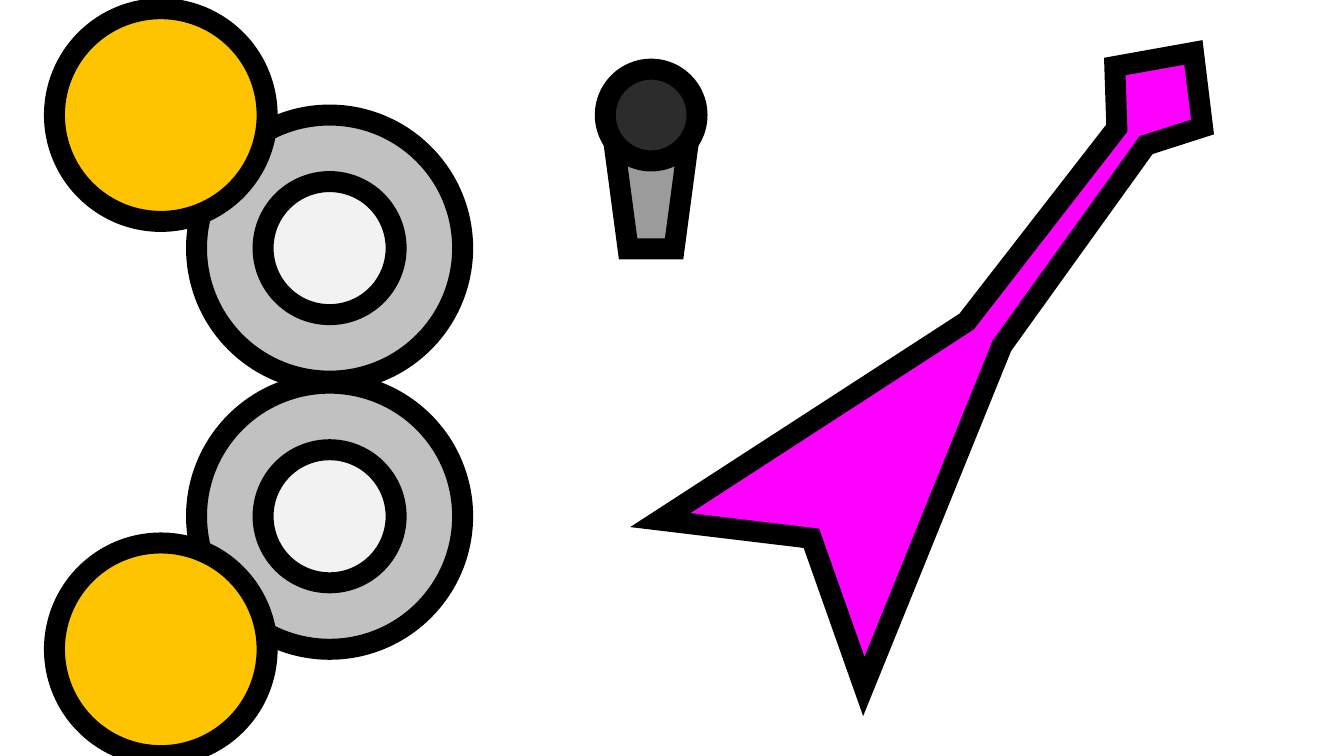
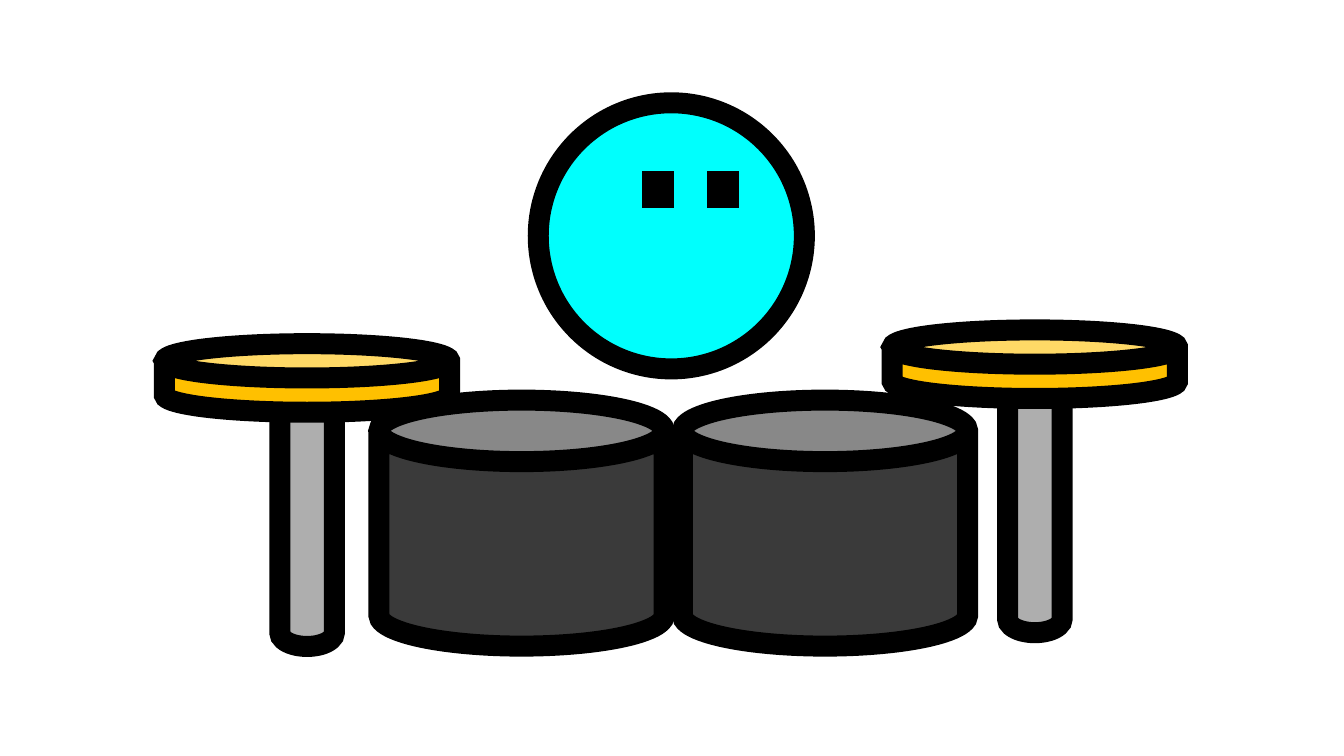
from lxml.etree import SubElement
from pptx import Presentation
from pptx.dml.color import RGBColor as RGB
from pptx.enum.shapes import MSO_SHAPE as Kind
from pptx.oxml.ns import qn
from pptx.util import Emu, Pt

HUE = {
    "ink": "000000", "drum": "C1C1C1", "hub": "F2F2F2", "brass": "FFC400",
    "grip": "9B9B9B", "mesh": "2C2C2C", "axe": "FE00FF",
    "pole": "AEAEAE", "face": "00FFFD", "shell": "3A3A3A", "gold": "FFC000",
}

# The slide is a grid of 80 columns by 45 rows of square cells.
CELL = 152400

deck = Presentation()
deck.slide_width, deck.slide_height = Emu(80 * CELL), Emu(45 * CELL)
blank = deck.slide_layouts[6]


def paint(shape, hue):
    """Fill the shape and give it the thick black outline with sharp corners."""
    shape.shadow.inherit = False
    shape.fill.solid()
    shape.fill.fore_color.rgb = RGB.from_string(HUE[hue])
    shape.line.color.rgb = RGB.from_string(HUE["ink"])
    shape.line.width = Pt(15)
    edge = shape.line._get_or_add_ln()
    SubElement(edge, qn("a:miter")).set("lim", "800000")


def put(home, kind, x, y, wide, high, hue):
    """Add a preset shape centred on column x and row y."""
    box = (x - wide / 2, y - high / 2, wide, high)
    shape = home.shapes.add_shape(kind, *(Emu(round(n * CELL)) for n in box))
    paint(shape, hue)
    return shape


# Slide 1: the band seen from above
top = deck.slides.add_slide(blank)

# Drums, cymbals and hubs mirror each other about one row
axis = 22.75
for x, gap, size, hue in (
    (19.62, 7.98, 15.84, "drum"),
    (9.57, 15.9, 12.66, "brass"),
    (19.62, 7.98, 7.92, "hub"),
):
    for y in (axis - gap, axis + gap):
        put(top, Kind.OVAL, x, y, size, size, hue)

mic = top.shapes.add_group_shape()
put(mic, Kind.FLOWCHART_MANUAL_OPERATION, 38.76, 11.4, 4.56, 6.84, "grip")
put(mic, Kind.OVAL, 38.76, 6.85, 5.46, 5.46, "mesh")

guitar = [
    (48.3, 32.04), (39.3, 30.96), (57.54, 19.14), (66.48, 7.62), (66.36, 3.96),
    (71.04, 3.12), (71.58, 7.56), (68.22, 8.64), (59.64, 20.58), (51.42, 40.86),
]
dots = [(round(x * CELL), round(y * CELL)) for x, y in guitar]
pen = top.shapes.build_freeform(*dots[0])
pen.add_line_segments(dots[1:], close=True)
paint(pen.convert_to_shape(), "axe")

# Slide 2: the drummer seen from the front
front = deck.slides.add_slide(blank)
sides = ((18.28, 22.5), (61.6, 21.68))

for x, y in sides:
    pole = put(front, Kind.CAN, x, y + 7.73, 3.24, 16.5, "pole")
    pole.adjustments[0] = 0.5

head = front.shapes.add_group_shape()
put(head, Kind.OVAL, 39.96, 14.04, 15.84, 15.84, "face")
for x in (39.15, 43.05):
    put(head, Kind.RECTANGLE, x, 11.28, 0.66, 0.96, "face")

for x in (31.05, 49.11):
    put(front, Kind.CAN, x, 31.14, 16.98, 14.64, "shell")

for x, y in reversed(sides):
    plate = put(front, Kind.CAN, x, y, 16.98, 4.08, "gold")
    plate.adjustments[0] = 0.5

deck.save("out.pptx")
